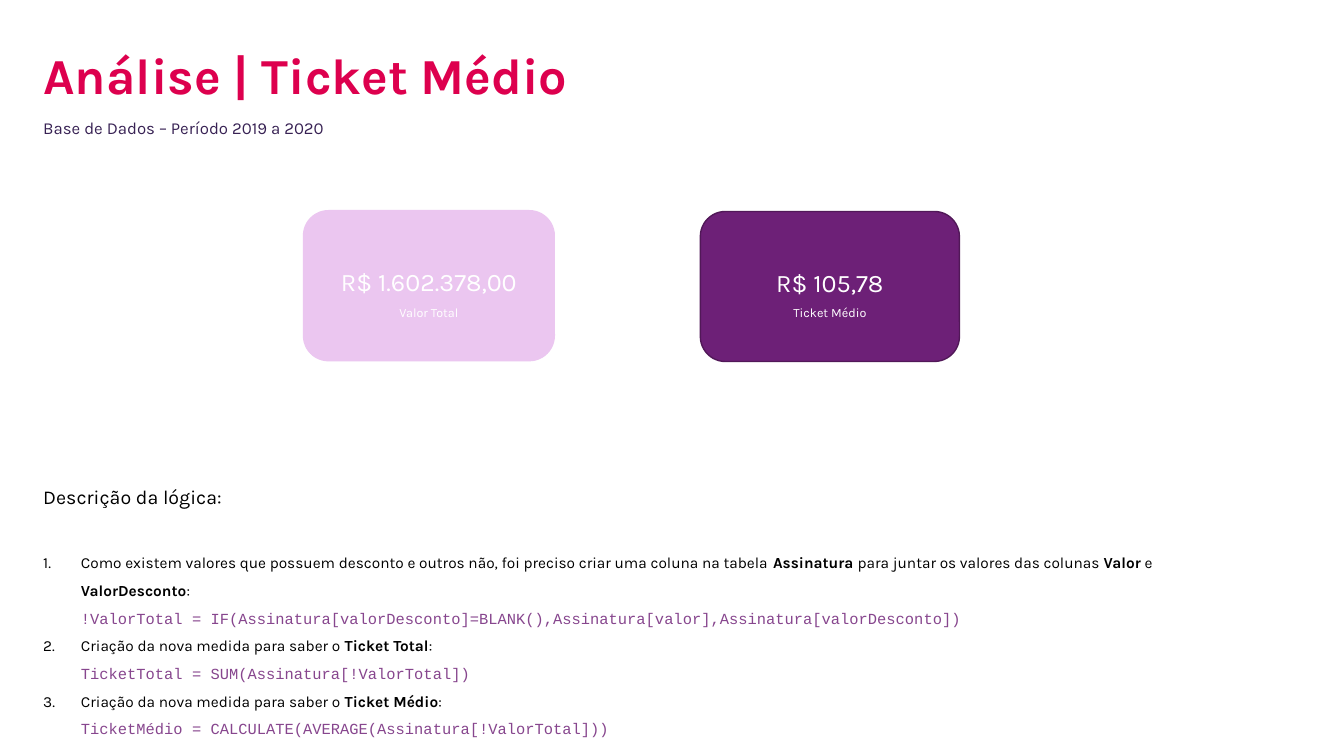
from copy import deepcopy

from lxml import etree
from pptx import Presentation
from pptx.dml.color import RGBColor
from pptx.enum.shapes import MSO_SHAPE
from pptx.enum.text import MSO_ANCHOR, MSO_AUTO_SIZE, PP_ALIGN
from pptx.oxml.ns import qn
from pptx.util import Cm, Pt

ROUNDED = MSO_SHAPE.ROUNDED_RECTANGLE
MIDDLE = MSO_ANCHOR.MIDDLE
LEFT, CENTER = PP_ALIGN.LEFT, PP_ALIGN.CENTER
NO_FIT, GROW = MSO_AUTO_SIZE.NONE, MSO_AUTO_SIZE.SHAPE_TO_FIT_TEXT

TITLE_ONLY = 5
MARGIN = 0.84
WIDE = 29.21
INDENT = 0.95

HEADING = {"name": "Karla", "size": 36, "color": "DD004E", "bold": True}
SUBTITLE = {"name": "Karla", "size": 12, "color": "382254"}
LEAD = {"name": "Karla", "size": 14, "color": "000000"}
BODY = {**LEAD, "size": 11}
STRONG = {**BODY, "bold": True}
CODE = {"name": "Courier New", "size": 11, "color": "87468E"}
FIGURE = {"name": "Karla", "size": 18, "color": "FFFFFF"}
CAPTION = {**FIGURE, "size": 9}

# Each card: box in cm, fill, outline, figure, caption
CARDS = [
    ((7.65, 5.31, 6.32, 3.78), "EBC6F0", "EBC6F0", "R$ 1.602.378,00", "Valor Total"),
    ((17.65, 5.33, 6.53, 3.78), "6D2077", "511858", "R$ 105,78", "Ticket Médio"),
]

# Each step: explanation as (text, format) spans, then its formula
NEW_MEASURE = "Criação da nova medida para saber o "
STEPS = [
    ([("Como existem valores que possuem desconto e outros não, "
       "foi preciso criar uma coluna na tabela", BODY),
      (" Assinatura ", STRONG),
      ("para juntar os valores das colunas ", BODY),
      ("Valor", STRONG), (" e ", BODY), ("ValorDesconto", STRONG), (":", BODY)],
     "!ValorTotal = IF(Assinatura[valorDesconto]=BLANK(),"
     "Assinatura[valor],Assinatura[valorDesconto])"),
    ([(NEW_MEASURE, BODY), ("Ticket Total", STRONG), (":", BODY)],
     "TicketTotal = SUM(Assinatura[!ValorTotal])"),
    ([(NEW_MEASURE, BODY), ("Ticket Médio", STRONG), (":", BODY)],
     "TicketMédio = CALCULATE(AVERAGE(Assinatura[!ValorTotal]))"),
]


def paint(target, color):
    """Give a font, line or fill colour format a hex colour."""
    target.rgb = RGBColor.from_string(color)


def set_all(target, **values):
    """Set each named attribute of the target."""
    for name, value in values.items():
        setattr(target, name, value)


def add_span(para, text, style):
    """Append a formatted span to the paragraph and return it."""
    span = para.add_run()
    span.text = text
    values = {**style, "size": Pt(style["size"])}
    paint(span.font.color, values.pop("color"))
    set_all(span.font, **values)
    return span


def break_line(para, span):
    """Append a line break as tall as the given span."""
    para.add_line_break()
    para._p[-1].insert(0, deepcopy(span._r.rPr))


def number(para):
    """Give the paragraph an automatic number and a hanging indent."""
    props = para._p.get_or_add_pPr()
    props.set("marL", str(Cm(INDENT)))
    props.set("indent", str(-Cm(INDENT)))
    etree.SubElement(props, qn("a:buFont"), typeface="+mj-lt")
    etree.SubElement(props, qn("a:buAutoNum"), type="arabicPeriod")


def add_text_box(page, box):
    """Add a wrapping text box and return its text frame."""
    frame = page.shapes.add_textbox(*map(Cm, box)).text_frame
    frame.word_wrap = True
    return frame


def add_header(page, box):
    """Place the title in the box and the subtitle under it."""
    left, top, width, height = box
    title = page.shapes.title
    set_all(title, left=Cm(left), top=Cm(top), width=Cm(width), height=Cm(height))
    frame = title.text_frame
    set_all(frame, vertical_anchor=MIDDLE, auto_size=NO_FIT, word_wrap=True)
    para = frame.paragraphs[0]
    set_all(para, alignment=LEFT, line_spacing=0.9)
    add_span(para, "Análise | Ticket Médio", HEADING)
    subtitle = add_text_box(page, (left, top + 2.15, 13.13, 0.84))
    add_span(subtitle.paragraphs[0], "Base de Dados – Período 2019 a 2020", SUBTITLE)


def add_card(page, box, fill, outline, figure, caption):
    """Draw a rounded card with a figure above its caption."""
    card = page.shapes.add_shape(ROUNDED, *map(Cm, box))
    card.shadow.inherit = False
    card.fill.solid()
    paint(card.fill.fore_color, fill)
    paint(card.line.color, outline)
    card.line.width = Pt(1)
    card.text_frame.vertical_anchor = MIDDLE
    para = card.text_frame.paragraphs[0]
    set_all(para, alignment=CENTER, line_spacing=1.5)
    break_line(para, add_span(para, figure, FIGURE))
    add_span(para, caption, CAPTION)


def add_logic(page, box):
    """Write the lead line and the numbered steps with their formulas."""
    frame = add_text_box(page, box)
    frame.auto_size = GROW
    lead = frame.paragraphs[0]
    set_all(lead, line_spacing=1.5, space_after=Pt(25))
    add_span(lead, "Descrição da lógica:", LEAD)
    for explanation, formula in STEPS:
        para = frame.add_paragraph()
        para.line_spacing = 1.5
        number(para)
        spans = [add_span(para, text, style) for text, style in explanation]
        break_line(para, spans[-1])
        add_span(para, formula, CODE)


def main():
    """Build the one-page deck and save it."""
    deck = Presentation()
    set_all(deck, slide_width=Cm(33.87), slide_height=Cm(19.05))
    page = deck.slides.add_slide(deck.slide_layouts[TITLE_ONLY])
    add_header(page, (MARGIN, 0.69, WIDE, 2.57))
    add_logic(page, (MARGIN, 11.81, WIDE, 6.2))
    for card in CARDS:
        add_card(page, *card)
    deck.save("out.pptx")


main()
